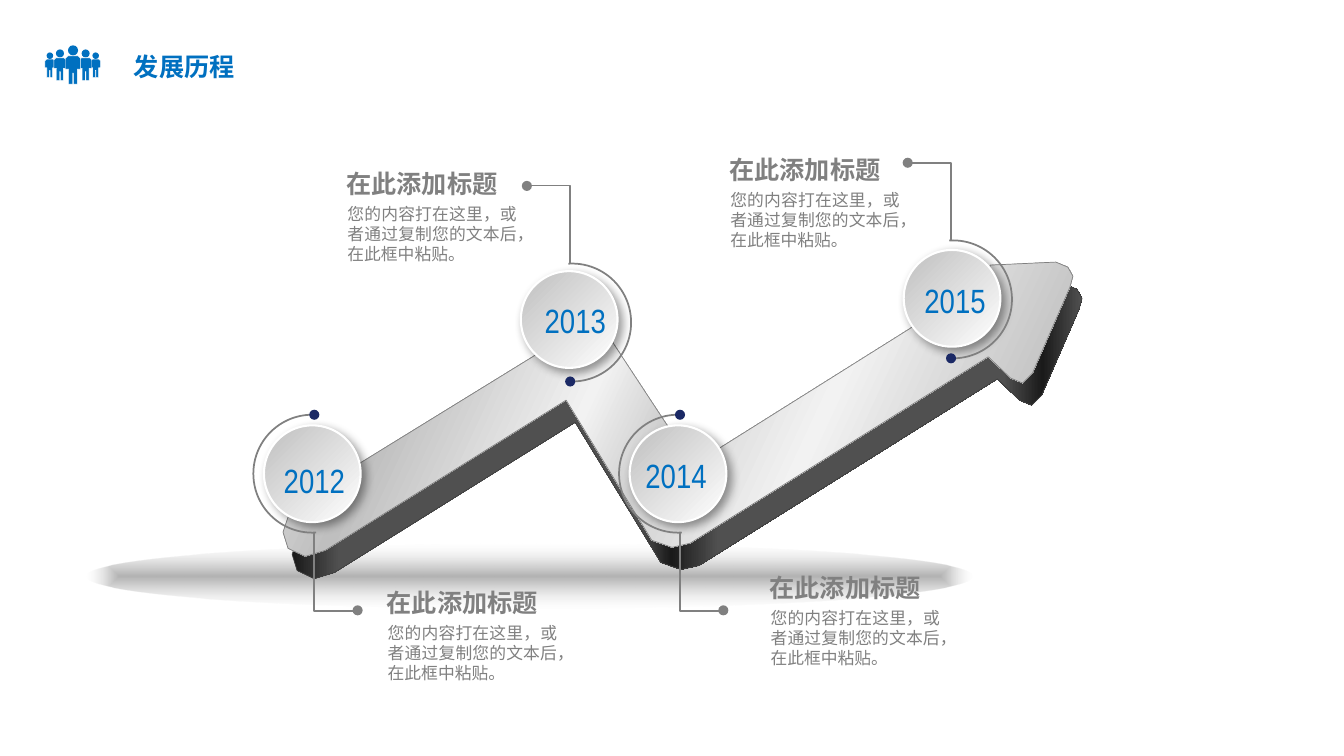
from dataclasses import dataclass

from pptx import Presentation
from pptx.dml.color import RGBColor
from pptx.enum.shapes import MSO_SHAPE as Shape
from pptx.enum.text import MSO_ANCHOR as Anchor, MSO_AUTO_SIZE as AutoSize, PP_ALIGN as Align
from pptx.oxml import parse_xml
from pptx.oxml.ns import nsdecls, qn
from pptx.util import Inches, Pt

COLUMNS, ROWS = 1334, 750
CELL = Inches(0.01)


@dataclass(frozen=True)
class Theme:
    blue: str = "0070C0"
    navy: str = "1B2965"
    gray: str = "808080"
    white: str = "FFFFFF"
    edge: str = "404040"
    chinese: str = "Noto Sans CJK SC"
    digits: str = "Arial Narrow"
    heading: int = 18
    body: int = 12
    year: int = 24


@dataclass(frozen=True)
class Milestone:
    """Grid centres of one stop; side is 1 for a callout below, -1 for one above."""
    year: str
    side: int
    disc: tuple
    arc: tuple
    label: tuple
    spine: int
    callout: tuple


THEME = Theme()
HEADING = "在此添加标题"
BODY = "您的内容打在这里，或者通过复制您的文本后，在此框中粘贴。"
MILESTONES = [
    Milestone("2012", 1, (310, 470), (310, 470), (312, 476), 312, (374, 578)),
    Milestone("2014", 1, (673, 470), (673, 470), (671, 471), 675, (754, 563)),
    Milestone("2013", -1, (565, 317), (568, 320), (571, 318), 566, (334, 162)),
    Milestone("2015", -1, (945, 296), (946, 297), (948, 298), 944, (714, 148)),
]
ARC_RADIUS = 58.5
ARROW = [(281, 528), (286, 513), (298, 496), (592, 315), (688, 461), (978, 279),
         (983, 263), (1048, 260), (1060, 265), (1065, 274), (1062, 285), (1025, 370),
         (1015, 380), (1003, 375), (981, 354), (685, 539), (667, 543), (647, 536),
         (562, 397), (323, 546), (303, 552), (286, 544)]
ARROW_DEPTH = (9, 22)
FACE_STOPS = [(0, "EAEAEA"), (19, "BFBFBF"), (40, "F2F2F2"), (49, "D0D0D0"),
              (66, "F2F2F2"), (90, "BFBFBF"), (100, "F2F2F2")]
SIDE_STOPS = [(0, "1A1A1A"), (6, "505050"), (44, "505050"), (48, "1A1A1A"),
              (54, "505050"), (90, "505050"), (95, "1A1A1A"), (100, "505050")]
PERSON = [(25, 0), (125, 0), (150, 25), (150, 130), (118, 130), (118, 280), (80, 280),
          (80, 170), (70, 170), (70, 280), (32, 280), (32, 130), (0, 130), (0, 25)]
CROWD = [(49.5, 52, 0.65), (95, 52, 0.65), (59.5, 49, 0.8), (85, 49, 0.8), (72.5, 45, 1)]


def grid(*values):
    return [round(value * CELL) for value in values]


def apply(target, values):
    for name, value in values.items():
        setattr(target, name, value)


def paint(shape, fill=None, line=None, width=1.25):
    shape.shadow.inherit = False
    if fill:
        shape.fill.solid()
        shape.fill.fore_color.rgb = RGBColor.from_string(fill)
    else:
        shape.fill.background()
    if line:
        shape.line.color.rgb = RGBColor.from_string(line)
        shape.line.width = Pt(width)
    else:
        shape.line.fill.background()
    return shape


def gradient(shape, stops, angle=None):
    """Fill with (position, colour[, opacity]) stops; no angle means outward from the middle."""
    marks = "".join(
        f'<a:gs pos="{position * 1000}"><a:srgbClr val="{color}">'
        f'<a:alpha val="{(opacity or [100])[0] * 1000}"/></a:srgbClr></a:gs>'
        for position, color, *opacity in stops)
    course = (f'<a:lin ang="{angle * 60000}" scaled="0"/>' if angle is not None else
              '<a:path path="shape"><a:fillToRect l="50000" t="50000" r="50000" b="50000"/></a:path>')
    properties = shape._element.spPr
    shape.fill.solid()
    properties.replace(properties.find(qn("a:solidFill")), parse_xml(
        f'<a:gradFill {nsdecls("a")} rotWithShape="1"><a:gsLst>{marks}</a:gsLst>{course}</a:gradFill>'))


def cast_shadow(shape, blur, distance):
    shape._element.spPr.find(qn("a:effectLst")).append(parse_xml(
        f'<a:outerShdw {nsdecls("a")} blurRad="{Pt(blur)}" dist="{Pt(distance)}" dir="2700000" '
        'algn="tl" rotWithShape="0"><a:srgbClr val="000000"><a:alpha val="40000"/>'
        '</a:srgbClr></a:outerShdw>'))


def centred(slide, kind, center, width, height):
    x, y = center
    return slide.shapes.add_shape(kind, *grid(x - width / 2, y - height / 2, width, height))


def dot(slide, center, color, size=10):
    paint(centred(slide, Shape.OVAL, center, size, size), color)


def outline(slide, points, close=True, scale=CELL, origin=(0, 0)):
    builder = slide.shapes.build_freeform(*points[0], scale=scale)
    builder.add_line_segments(points[1:], close=close)
    return builder.convert_to_shape(*grid(*origin))


def write(shape, text, size, color, font=THEME.chinese, bold=False, align=Align.LEFT, wrap=True):
    frame = shape.text_frame
    apply(frame, {"text": text, "word_wrap": wrap, "auto_size": AutoSize.NONE,
                  "vertical_anchor": Anchor.TOP,
                  "margin_left": Inches(0.1), "margin_right": Inches(0.1),
                  "margin_top": Inches(0.05), "margin_bottom": Inches(0.05)})
    paragraph = frame.paragraphs[0]
    apply(paragraph, {"alignment": align, "line_spacing": Pt(size * 1.2), "space_before": Pt(0)})
    run = paragraph.runs[0]
    apply(run.font, {"name": font, "size": Pt(size), "bold": bold})
    run.font.color.rgb = RGBColor.from_string(color)
    run._r.get_or_add_rPr().append(parse_xml(f'<a:ea {nsdecls("a")} typeface="{font}"/>'))


def add_text(slide, box, *args, **options):
    write(slide.shapes.add_textbox(*grid(*box)), *args, **options)


def add_title(slide):
    title = slide.shapes.title
    apply(title, dict(zip(("left", "top", "width", "height"), grid(123, 46, 121, 40))))
    write(title, "发展历程", THEME.heading, THEME.blue, bold=True, wrap=False)


def add_crowd(slide):
    for x, top, size in CROWD:
        dot(slide, (x, top + 5 * size), THEME.blue, 10 * size)
        body = outline(slide, PERSON, scale=CELL * size / 10,
                       origin=(x - 7.5 * size, top + 10.5 * size))
        paint(body, THEME.blue, THEME.white, 0.25)


def add_arrow(slide):
    ground = paint(slide.shapes.add_shape(Shape.OVAL, *grid(86, 539, 879, 65)))
    gradient(ground, [(0, "000000", 30), (29, "000000", 18), (100, "BFBFBF", 0)])
    dx, dy = ARROW_DEPTH
    side = paint(outline(slide, [(x + dx, y + dy) for x, y in ARROW]), line=THEME.edge, width=0.5)
    gradient(side, SIDE_STOPS, 0)
    face = paint(outline(slide, ARROW), line=THEME.gray, width=0.5)
    gradient(face, FACE_STOPS, 25)


def add_milestone(slide, stop):
    disc = paint(centred(slide, Shape.OVAL, stop.disc, 96, 96), line=THEME.white, width=1.5)
    gradient(disc, [(0, "BFBFBF"), (100, "FFFFFF")], 45)
    cast_shadow(disc, 7, 4)
    x, y = stop.label
    add_text(slide, (x - 47, y - 25, 94, 50), stop.year, THEME.year, THEME.blue,
             font=THEME.digits, align=Align.CENTER)

    arc = centred(slide, Shape.ARC, stop.arc, 2 * ARC_RADIUS, 2 * ARC_RADIUS)
    arc.adjustments[0], arc.adjustments[1] = (51.79, 162) if stop.side > 0 else (159.79, 54)
    paint(arc, line=THEME.gray)

    reach = stop.side * ARC_RADIUS
    start, end = stop.arc[1] + reach, stop.arc[1] + reach + stop.side * 77
    tip = (stop.spine + stop.side * 43, end)
    dot(slide, (stop.spine, stop.arc[1] - reach), THEME.navy)
    paint(outline(slide, [(stop.spine, start), (stop.spine, end), tip], close=False), line=THEME.gray)
    dot(slide, tip, THEME.gray)


def add_callout(slide, left, top):
    add_text(slide, (left, top, 189, 40), HEADING, THEME.heading, THEME.gray, bold=True)
    add_text(slide, (left + 1, top + 35, 188, 71), BODY, THEME.body, THEME.gray,
             align=Align.JUSTIFY)


def main():
    presentation = Presentation()
    presentation.slide_width, presentation.slide_height = grid(COLUMNS, ROWS)
    slide = presentation.slides.add_slide(presentation.slide_layouts[5])
    add_crowd(slide)
    add_title(slide)
    add_arrow(slide)
    for stop in MILESTONES:
        add_milestone(slide, stop)
        add_callout(slide, *stop.callout)
    presentation.save("out.pptx")


if __name__ == "__main__":
    main()
